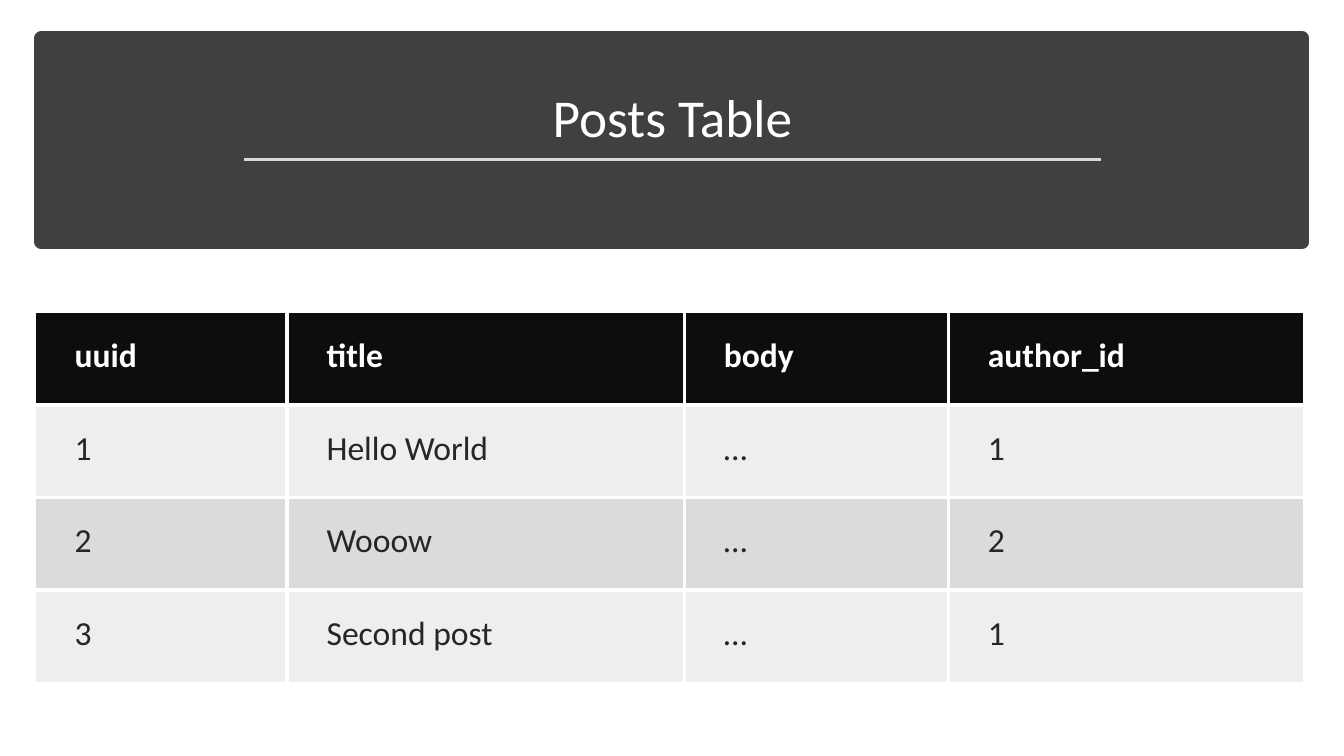
from dataclasses import dataclass

from lxml import etree
from pptx import Presentation
from pptx.dml.color import RGBColor
from pptx.enum import shapes, text
from pptx.oxml import ns
from pptx.util import Pt

WHITE = RGBColor(0xFF, 0xFF, 0xFF)
CHARCOAL = RGBColor(0x40, 0x40, 0x40)
RULE_GREY = RGBColor(0xD9, 0xD9, 0xD9)
HEADER_BLACK = RGBColor(0x0D, 0x0D, 0x0D)
BODY_INK = RGBColor(0x26, 0x26, 0x26)
BAND_GREY = RGBColor(0x87, 0x8E, 0x8B)
ROW_HEIGHT = 66.1
BORDER_WIDTH = 3


@dataclass(frozen=True)
class Column:
    width: float
    heading: str
    values: tuple[str, ...]


@dataclass(frozen=True)
class RowStyle:
    fill: RGBColor
    opacity: int
    ink: RGBColor
    bold: bool


COLUMNS = [
    Column(180, "uuid", ("1", "2", "3")),
    Column(283.7, "title", ("Hello World", "Wooow", "Second post")),
    Column(188.6, "body", ("…", "…", "…")),
    Column(253.4, "author_id", ("1", "2", "1")),
]
HEADER = RowStyle(HEADER_BLACK, 100, WHITE, True)
LIGHT = RowStyle(BAND_GREY, 15, BODY_INK, False)
DARK = RowStyle(BAND_GREY, 30, BODY_INK, False)
ROW_STYLES = [HEADER, LIGHT, DARK, LIGHT]


def apply(target, values: dict) -> None:
    for name, value in values.items():
        setattr(target, name, value)


def write(para, wording: str, size: float, ink: RGBColor, bold: bool) -> None:
    span = para.add_run()
    span.text = wording
    apply(span.font, {"name": "Calibri", "size": Pt(size), "bold": bold})
    span.font.color.rgb = ink


def draw_banner(page) -> None:
    banner = page.shapes.add_shape(
        shapes.MSO_SHAPE.RECTANGLE, Pt(29.5), Pt(27.4), Pt(900.7), Pt(145.4))
    banner.shadow.inherit = False
    banner.fill.solid()
    banner.fill.fore_color.rgb = CHARCOAL
    banner.line.color.rgb = CHARCOAL
    banner.line.width = Pt(10)


def draw_title(page) -> None:
    box = page.shapes.add_textbox(Pt(41.8), Pt(36.7), Pt(877), Pt(73.4))
    apply(box.text_frame, {
        "word_wrap": True,
        "vertical_anchor": text.MSO_ANCHOR.BOTTOM,
    })
    para = box.text_frame.paragraphs[0]
    apply(para, {"alignment": text.PP_ALIGN.CENTER, "line_spacing": 0.9})
    write(para, "Posts Table", 38, WHITE, False)


def draw_rule(page) -> None:
    rule = page.shapes.add_connector(
        shapes.MSO_CONNECTOR.STRAIGHT, Pt(174.2), Pt(113.8), Pt(786.2), Pt(113.8))
    rule.line.color.rgb = RULE_GREY
    rule.line.width = Pt(1.75)
    etree.SubElement(rule._element.spPr, ns.qn("a:effectLst"))


def add_border(cell, side: str) -> None:
    border = etree.SubElement(
        cell._tc.get_or_add_tcPr(), ns.qn(f"a:ln{side}"), w=str(Pt(BORDER_WIDTH)))
    fill = etree.SubElement(border, ns.qn("a:solidFill"))
    etree.SubElement(fill, ns.qn("a:srgbClr"), val=str(WHITE))


def fill_cell(cell, style: RowStyle) -> None:
    cell.fill.solid()
    cell.fill.fore_color.rgb = style.fill
    if style.opacity < 100:
        colour = cell._tc.tcPr.find(f".//{ns.qn('a:srgbClr')}[@val='{style.fill}']")
        etree.SubElement(colour, ns.qn("a:alpha"), val=str(style.opacity * 1000))


def draw_posts(page) -> None:
    last_row, last_column = len(ROW_STYLES) - 1, len(COLUMNS) - 1
    frame = page.shapes.add_table(
        len(ROW_STYLES), len(COLUMNS), Pt(25.2), Pt(223.2),
        Pt(sum(column.width for column in COLUMNS)), Pt(ROW_HEIGHT * len(ROW_STYLES)))
    table = frame.table
    apply(table, {"first_row": False, "horz_banding": False})
    for row in table.rows:
        row.height = Pt(ROW_HEIGHT)
    for c, column in enumerate(COLUMNS):
        table.columns[c].width = Pt(column.width)
        for r, wording in enumerate((column.heading, *column.values)):
            cell, style = table.cell(r, c), ROW_STYLES[r]
            apply(cell, {
                "margin_left": Pt(28.1),
                "margin_top": Pt(16.6),
                "margin_right": Pt(16.6),
                "margin_bottom": Pt(16.6),
            })
            inner_sides = {"L": c > 0, "R": c < last_column, "T": r > 0, "B": r < last_row}
            for side, inner in inner_sides.items():
                if inner:
                    add_border(cell, side)
            fill_cell(cell, style)
            write(cell.text_frame.paragraphs[0], wording, 24, style.ink, style.bold)


def main() -> None:
    deck = Presentation()
    apply(deck, {"slide_width": Pt(960), "slide_height": Pt(540)})
    page = deck.slides.add_slide(deck.slide_layouts[6])
    draw_banner(page)
    draw_title(page)
    draw_rule(page)
    draw_posts(page)
    deck.save("out.pptx")


if __name__ == "__main__":
    main()
